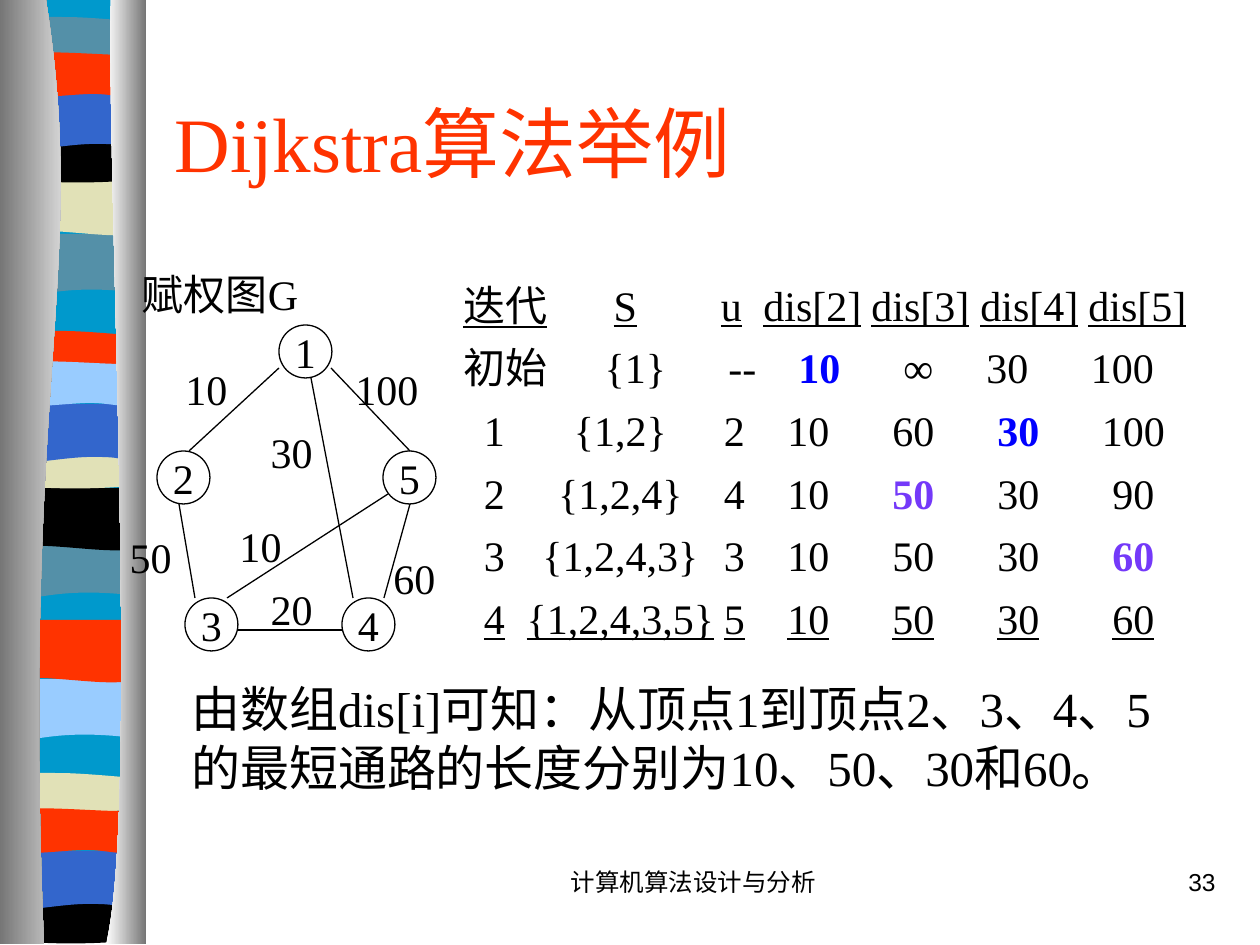
from dataclasses import dataclass

from lxml.etree import SubElement
from pptx import Presentation
from pptx.dml.color import RGBColor
from pptx.enum.shapes import MSO_CONNECTOR as Connector, MSO_SHAPE as Preset
from pptx.enum.text import MSO_ANCHOR as Anchor, PP_ALIGN as Align
from pptx.oxml.ns import qn
from pptx.util import Emu, Pt

EMU_PER_PX = 914400 / 126
SERIF = "Times New Roman"
COLORS = {
    "white": "FFFFFF", "gray": "767676", "black": "000000", "cyan": "0099CC",
    "steel": "5490A8", "cream": "E1E1B7", "blue": "3366CC", "red": "FF3300",
    "sky": "99CCFF", "bright": "0000FF", "violet": "7439F9",
}
Point = tuple[int, int]
Segment = tuple[Point, ...]


@dataclass(frozen=True)
class Outline:
    start: Point
    segments: tuple[Segment, ...]


@dataclass(frozen=True)
class BandGroup:
    left: int
    bands: tuple[tuple[int, str], ...]


@dataclass(frozen=True)
class Label:
    text: str
    left: int
    top: int
    width: int


@dataclass(frozen=True)
class Row:
    cells: tuple[str, ...]
    centers: tuple[int, ...]
    highlight: int = -1
    color: str = "black"
    underline: bool = False


MOTIFS = (
    Outline((128, 0), (((128, 59),), ((39, 48), (21, 68), (0, 59)), ((0, 0),))),
    Outline((128, 0), (((128, 59),), ((107, 69), (39, 53), (0, 59)), ((0, 0),))),
    Outline((128, 6), (((128, 36),), ((107, 42), (21, 42), (0, 36)), ((0, 6),),
                       ((8, 0), (32, 1), (53, 1)), ((74, 1), (115, 5), (128, 6)))),
    Outline((128, 0), (((128, 42),), ((107, 48), (21, 48), (0, 42)), ((0, 0),),
                       ((79, 6), (102, 0), (128, 0)))),
    Outline((128, 0), (((128, 60),), ((108, 53), (100, 53), (80, 53)),
                       ((57, 53), (20, 60), (0, 60)), ((0, 0),))),
    Outline((128, 6), (((128, 45),), ((120, 52), (101, 45), (79, 45)),
                       ((57, 45), (13, 52), (0, 45)), ((0, 6),),
                       ((18, 0), (87, 6), (108, 6)), ((130, 6), (125, 6), (128, 6)))),
)
BAND_GROUPS = (
    BandGroup(14, ((234, "steel"), (173, "cream"), (16, "steel"),
                   (136, "black"), (91, "blue"), (49, "red"))),
    BandGroup(11, ((537, "steel"), (488, "black"), (330, "red"),
                   (442, "cream"), (404, "blue"), (358, "sky"))),
    BandGroup(7, ((679, "sky"), (620, "red"), (772, "cream"),
                  (897, "black"), (851, "blue"), (805, "red"))),
)
RIBBON = Outline((14, 0), (((142, 0),), ((142, 941),), ((14, 941),)))
LEFT_PILLAR = Outline((46, 0), (((89, 272), (21, 373), (44, 944)), ((0, 944),), ((0, 0),)))
RIGHT_PILLAR = Outline((111, 0), (((106, 158), (140, 814), (106, 944)), ((146, 944),), ((146, 0),)))

NODE_SIZE = 53
NODES = (Label("1", 279, 325, NODE_SIZE), Label("2", 157, 451, NODE_SIZE),
         Label("5", 383, 451, NODE_SIZE), Label("4", 342, 598, NODE_SIZE),
         Label("3", 185, 598, NODE_SIZE))
EDGES = (((279, 368), (189, 451)), ((179, 504), (195, 598)), ((237, 630), (342, 630)),
         ((410, 504), (384, 598)), ((331, 368), (410, 451)), ((311, 378), (353, 598)),
         ((227, 598), (388, 494)))
LABELS = (Label("10", 173, 357, 67), Label("20", 258, 577, 67), Label("50", 117, 525, 67),
          Label("100", 343, 357, 88), Label("30", 258, 420, 67), Label("10", 227, 514, 67),
          Label("60", 381, 546, 67), Label("赋权图G", 124, 262, 192))

HEADER_CENTERS = (162, 268, 349, 457, 566, 674)
INITIAL_CENTERS = (172, 279, 356, 455, 544, 659)
STEP_CENTERS = (31, 157, 271, 345, 450, 555, 670)
ROWS = (
    Row(("迭代", "S", "u", "dis[2]", "dis[3]", "dis[4]", "dis[5]"), HEADER_CENTERS, underline=True),
    Row(("初始", "{1}", "--", "10", "∞", "30", "100"), INITIAL_CENTERS, 3, "bright"),
    Row(("", "1", "{1,2}", "2", "10", "60", "30", "100"), STEP_CENTERS, 6, "bright"),
    Row(("", "2", "{1,2,4}", "4", "10", "50", "30", "90"), STEP_CENTERS, 5, "violet"),
    Row(("", "3", "{1,2,4,3}", "3", "10", "50", "30", "60"), STEP_CENTERS, 7, "violet"),
    Row(("", "4", "{1,2,4,3,5}", "5", "10", "50", "30", "60"), STEP_CENTERS, underline=True),
)


def px(value: float) -> Emu:
    return Emu(round(value * EMU_PER_PX))


def rgb(name: str) -> RGBColor:
    return RGBColor.from_string(COLORS[name])


def format_run(run, size: int, color: str = "black", font: str = SERIF) -> None:
    run.font.size, run.font.name = Pt(size), font
    run.font.color.rgb = rgb(color)


def write(frame, text: str, size: int, align=Align.LEFT, color: str = "black",
          font: str = SERIF) -> None:
    frame.text = text
    paragraph = frame.paragraphs[0]
    paragraph.alignment = align
    for run in paragraph.runs:
        format_run(run, size, color, font)


def draw_outline(slide, outline: Outline, colors: tuple[str, ...], left: int = 0, top: int = 0) -> None:
    points = [(px(x + left), px(y + top))
              for segment in ((outline.start,), *outline.segments) for x, y in segment]
    builder = slide.shapes.build_freeform(*points[0])
    builder.add_line_segments(points[1:], close=True)
    shape = builder.convert_to_shape()
    lines = iter(list(shape._element.iter(qn("a:lnTo"))))
    for segment in outline.segments:
        vertices = [next(lines) for _ in segment]
        if len(segment) == 3:
            curve = vertices[0]
            bezier = curve.makeelement(qn("a:cubicBezTo"))
            curve.addprevious(bezier)
            for vertex in vertices:
                bezier.append(vertex[0])
                vertex.getparent().remove(vertex)
    shape.shadow.inherit = False
    shape.line.fill.background()
    if len(colors) == 1:
        shape.fill.solid()
        shape.fill.fore_color.rgb = rgb(colors[0])
        return
    shape.fill.gradient()
    shape.fill.gradient_angle = 0
    for stop, color in zip(shape.fill.gradient_stops, colors):
        stop.color.rgb = rgb(color)


def draw_node(slide, node: Label) -> None:
    shape = slide.shapes.add_shape(Preset.OVAL, px(node.left), px(node.top), px(node.width), px(node.width))
    shape.shadow.inherit = False
    shape.fill.background()
    shape.line.color.rgb = rgb("black")
    shape.line.width = Pt(0.75)
    shape.text_frame.word_wrap = False
    shape.text_frame.vertical_anchor = Anchor.MIDDLE
    write(shape.text_frame, node.text, 24, Align.CENTER)


def draw_edge(slide, start: Point, end: Point) -> None:
    line = slide.shapes.add_connector(Connector.STRAIGHT, *map(px, start + end))
    line.line.color.rgb = rgb("black")
    line.line.width = Pt(0.75)
    SubElement(line._element.spPr, qn("a:effectLst"))


def draw_text(slide, label: Label, height: int, size: int, align=Align.LEFT,
              font: str = SERIF, wrap: bool = True, anchor=Anchor.TOP) -> None:
    box = slide.shapes.add_textbox(px(label.left), px(label.top), px(label.width), px(height))
    box.text_frame.word_wrap = wrap
    box.text_frame.vertical_anchor = anchor
    write(box.text_frame, label.text, size, align, font=font)


def fill_row(paragraph, row: Row) -> None:
    tabs = SubElement(paragraph._p.get_or_add_pPr(), qn("a:tabLst"))
    for center in row.centers:
        SubElement(tabs, qn("a:tab"), pos=str(px(center)), algn="ctr")
    split = row.highlight if row.highlight > 0 else len(row.cells)
    before = "\t".join(row.cells[:split])
    parts = [(before, False)]
    if row.highlight > 0:
        parts = [(before + "\t", False), (row.cells[split], True)]
        if row.cells[split + 1:]:
            parts.append(("\t" + "\t".join(row.cells[split + 1:]), False))
    for text, highlighted in parts:
        run = paragraph.add_run()
        run.text = text
        format_run(run, 24, row.color if highlighted else "black")
        run.font.bold, run.font.underline = highlighted, row.underline


def draw_iterations(slide) -> None:
    box = slide.shapes.add_textbox(px(451), px(273), px(766), px(368))
    frame = box.text_frame
    frame.word_wrap = True
    for index, row in enumerate(ROWS):
        paragraph = frame.add_paragraph() if index else frame.paragraphs[0]
        if index:
            paragraph.space_before = Pt(7)
        fill_row(paragraph, row)


def main() -> None:
    presentation = Presentation()
    presentation.slide_width, presentation.slide_height = px(1260), px(945)
    slide = presentation.slides.add_slide(presentation.slide_layouts[5])
    draw_outline(slide, RIBBON, ("cyan",))
    for group in BAND_GROUPS:
        for motif, (top, color) in zip(MOTIFS, group.bands):
            draw_outline(slide, motif, (color,), group.left, top)
    draw_outline(slide, LEFT_PILLAR, ("gray", "white"))
    draw_outline(slide, RIGHT_PILLAR, ("white", "gray"))
    draw_text(slide, Label("计算机算法设计与分析", 494, 861, 399), 63, 14, Align.CENTER, "Arial")
    draw_text(slide, Label("33", 966, 861, 262), 63, 14, Align.RIGHT, "Arial")
    title = slide.shapes.title
    title.left, title.top, title.width, title.height = map(px, (162, 63, 1071, 158))
    title.text_frame.vertical_anchor = Anchor.MIDDLE
    write(title.text_frame, "Dijkstra算法举例", 44, color="red")
    draw_iterations(slide)
    for node in NODES:
        draw_node(slide, node)
    for start, end in EDGES:
        draw_edge(slide, start, end)
    for label in LABELS:
        draw_text(slide, label, 63, 24, Align.CENTER, wrap=False, anchor=Anchor.MIDDLE)
    conclusion = "由数组dis[i]可知：从顶点1到顶点2、3、4、5的最短通路的长度分别为10、50、30和60。"
    draw_text(slide, Label(conclusion, 179, 672, 1029), 131, 28)
    presentation.save("out.pptx")


if __name__ == "__main__":
    main()
